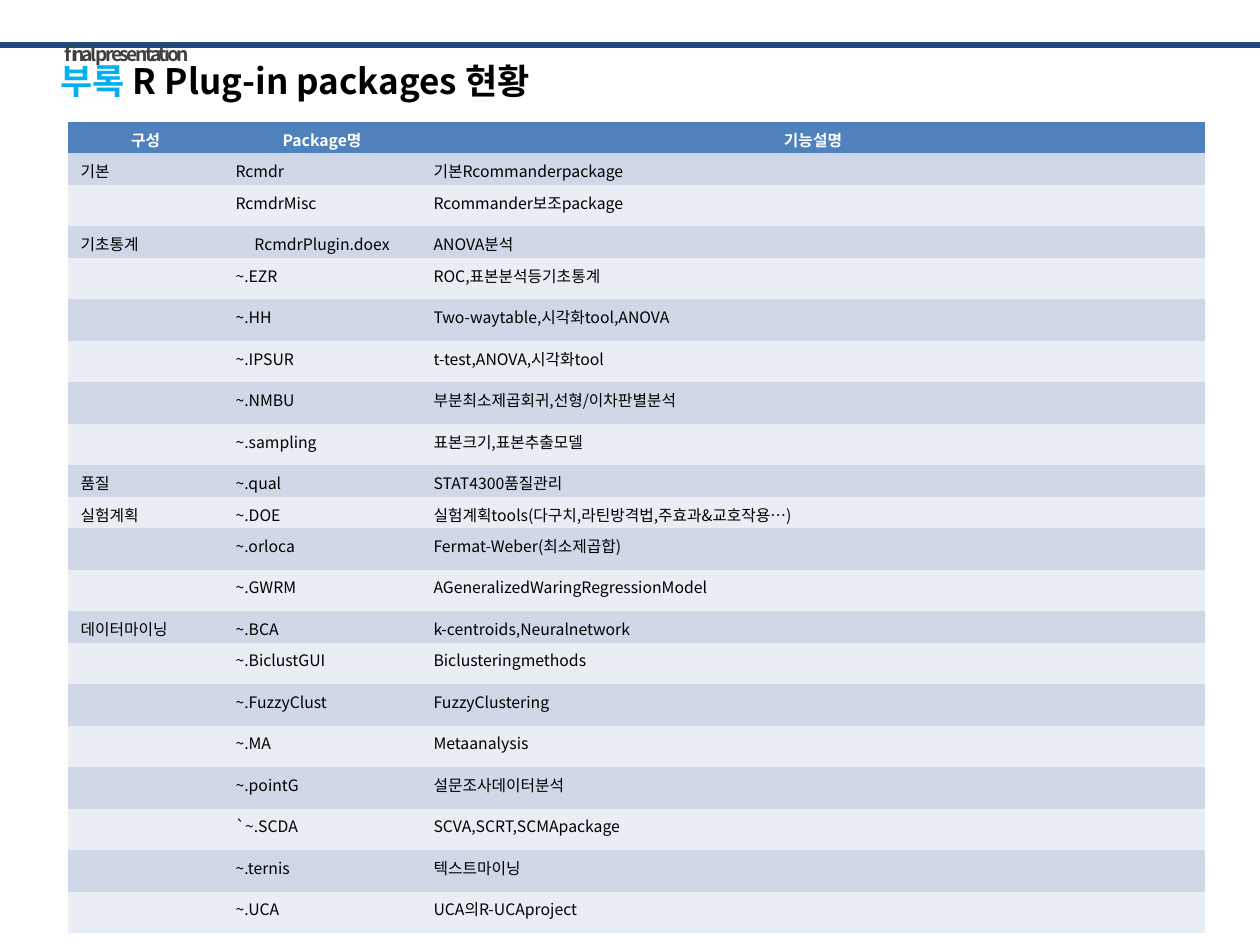
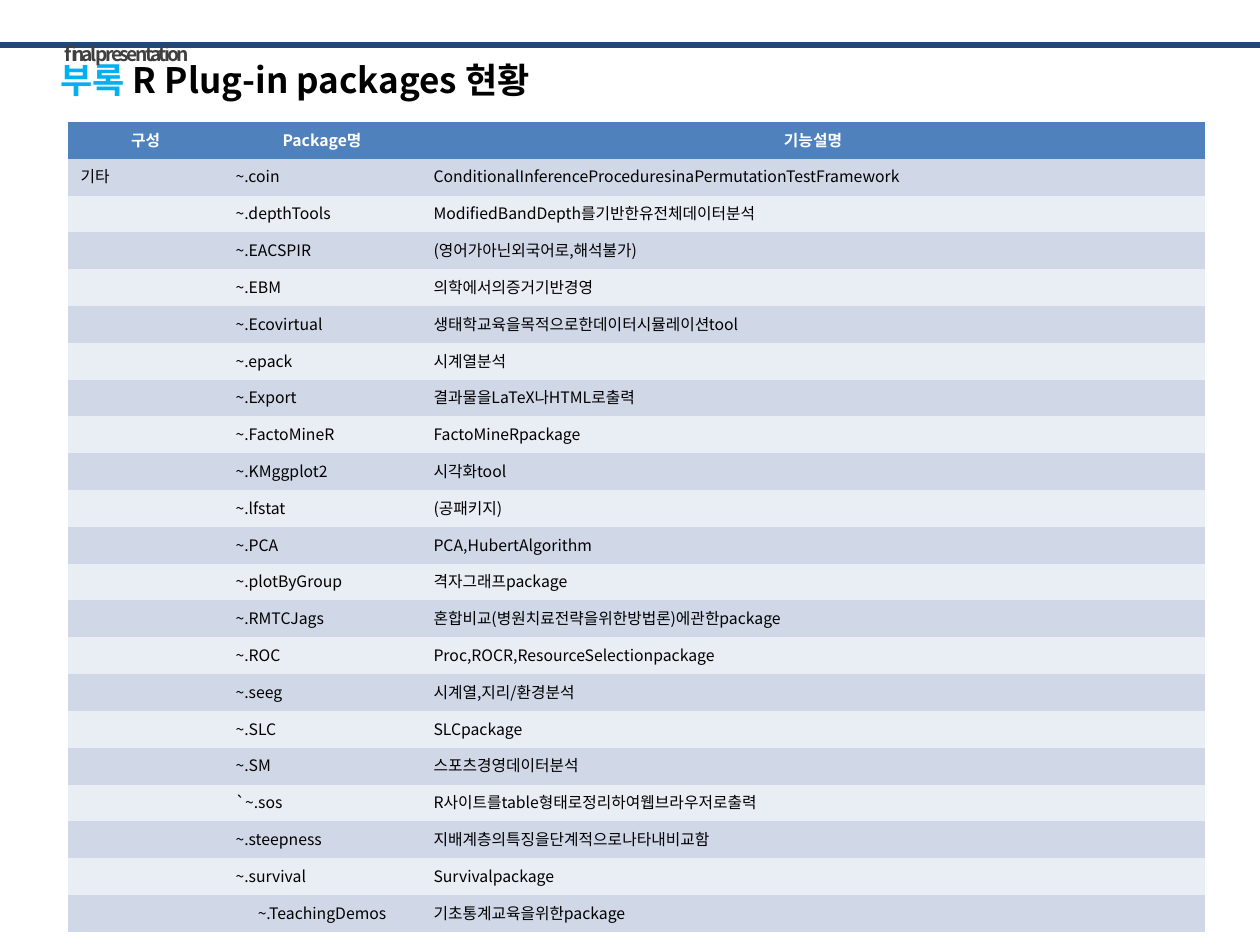
from lxml.etree import SubElement
from pptx import Presentation
from pptx.dml.color import RGBColor
from pptx.enum.shapes import MSO_CONNECTOR
from pptx.enum.text import MSO_AUTO_SIZE, PP_ALIGN
from pptx.oxml.ns import qn
from pptx.util import Emu, Pt

NAVY = RGBColor(0x1F, 0x49, 0x7D)
CYAN = RGBColor(0x00, 0xB0, 0xF0)
GREY = RGBColor(0x40, 0x40, 0x40)
BLACK = RGBColor(0x00, 0x00, 0x00)
WHITE = RGBColor(0xFF, 0xFF, 0xFF)
HEAD_FILL = RGBColor(0x4F, 0x81, 0xBD)
BAND_FILLS = [RGBColor(0xE9, 0xED, 0xF4), RGBColor(0xD0, 0xD8, 0xE8)]

FONT = "Noto Sans CJK KR"
NO_GRID_STYLE = "{2D5ABB26-0587-4C30-8999-92F81FD0307C}"
HEADER = ("구성", "Package명", "기능설명")
COL_WIDTHS = (155, 198, 784)
CENTRED = ("RcmdrPlugin.doex", "~.TeachingDemos")

MAIN_PACKAGES = [
    ("기본", "Rcmdr", "기본Rcommanderpackage"),
    ("", "RcmdrMisc", "Rcommander보조package"),
    ("기초통계", "RcmdrPlugin.doex", "ANOVA분석"),
    ("", "~.EZR", "ROC,표본분석등기초통계"),
    ("", "~.HH", "Two-waytable,시각화tool,ANOVA"),
    ("", "~.IPSUR", "t-test,ANOVA,시각화tool"),
    ("", "~.NMBU", "부분최소제곱회귀,선형/이차판별분석"),
    ("", "~.sampling", "표본크기,표본추출모델"),
    ("품질", "~.qual", "STAT4300품질관리"),
    ("실험계획", "~.DOE", "실험계획tools(다구치,라틴방격법,주효과&교호작용…)"),
    ("", "~.orloca", "Fermat-Weber(최소제곱합)"),
    ("", "~.GWRM", "AGeneralizedWaringRegressionModel"),
    ("데이터마이닝", "~.BCA", "k-centroids,Neuralnetwork"),
    ("", "~.BiclustGUI", "Biclusteringmethods"),
    ("", "~.FuzzyClust", "FuzzyClustering"),
    ("", "~.MA", "Metaanalysis"),
    ("", "~.pointG", "설문조사데이터분석"),
    ("", "`~.SCDA", "SCVA,SCRT,SCMApackage"),
    ("", "~.ternis", "텍스트마이닝"),
    ("", "~.UCA", "UCA의R-UCAproject"),
]
OTHER_PACKAGES = [
    ("기타", "~.coin", "ConditionalInferenceProceduresinaPermutationTestFramework"),
    ("", "~.depthTools", "ModifiedBandDepth를기반한유전체데이터분석"),
    ("", "~.EACSPIR", "(영어가아닌외국어로,해석불가)"),
    ("", "~.EBM", "의학에서의증거기반경영"),
    ("", "~.Ecovirtual", "생태학교육을목적으로한데이터시뮬레이션tool"),
    ("", "~.epack", "시계열분석"),
    ("", "~.Export", "결과물을LaTeX나HTML로출력"),
    ("", "~.FactoMineR", "FactoMineRpackage"),
    ("", "~.KMggplot2", "시각화tool"),
    ("", "~.lfstat", "(공패키지)"),
    ("", "~.PCA", "PCA,HubertAlgorithm"),
    ("", "~.plotByGroup", "격자그래프package"),
    ("", "~.RMTCJags", "혼합비교(병원치료전략을위한방법론)에관한package"),
    ("", "~.ROC", "Proc,ROCR,ResourceSelectionpackage"),
    ("", "~.seeg", "시계열,지리/환경분석"),
    ("", "~.SLC", "SLCpackage"),
    ("", "~.SM", "스포츠경영데이터분석"),
    ("", "`~.sos", "R사이트를table형태로정리하여웹브라우저로출력"),
    ("", "~.steepness", "지배계층의특징을단계적으로나타내비교함"),
    ("", "~.survival", "Survivalpackage"),
    ("", "~.TeachingDemos", "기초통계교육을위한package"),
]


def px(n):
    """Turn pixels, 126 to the inch, into EMU."""
    return Emu(round(n * 914400 / 126))


def add_run(p, text, color, **font):
    """Add a run whose Korean letters always use FONT."""
    r = p.add_run()
    r.text = text
    r.font.color.rgb = color
    for name, value in {"name": FONT, **font}.items():
        setattr(r.font, name, value)
    SubElement(r.font._element, qn("a:ea"), typeface=FONT)
    return r


prs = Presentation()
prs.slide_width, prs.slide_height = px(1260), px(945)

# Row heights: with group name, without group name; then the title box size
pages = [
    (MAIN_PACKAGES, px(63) // 2, px(83) // 2, 523, 97),
    (OTHER_PACKAGES, px(810) // 22, px(810) // 22, 549, 100),
]

for packages, group_height, plain_height, title_width, title_height in pages:
    s = prs.slides.add_slide(prs.slide_layouts[6])

    rule = s.shapes.add_connector(MSO_CONNECTOR.STRAIGHT, px(-2), px(45), px(1262), px(45))
    rule.line.color.rgb = NAVY
    rule.line.width = Pt(3)
    SubElement(rule._element.spPr, qn("a:effectLst"))

    title = s.shapes.add_textbox(px(48), px(59), px(title_width), px(title_height))
    label = s.shapes.add_textbox(px(52), px(39), px(220), px(37))
    for box, top_margin in ((title, 0), (label, 3)):
        tf = box.text_frame
        tf.word_wrap = True
        tf.auto_size = MSO_AUTO_SIZE.SHAPE_TO_FIT_TEXT
        tf.margin_top = px(top_margin)

    p = title.text_frame.paragraphs[0]
    add_run(p, "부록 ", CYAN, name="Arial", size=Pt(20), bold=True)
    add_run(p, "R Plug-in packages 현황", BLACK, size=Pt(20), bold=True)

    p = label.text_frame.paragraphs[0]
    p.alignment = PP_ALIGN.JUSTIFY
    r = add_run(p, "final presentation", GREY, size=Pt(11), bold=True)
    r.font._element.set("spc", "-150")

    rows = [HEADER, *packages]
    heights = [group_height if row[0] else plain_height for row in rows]
    frame = s.shapes.add_table(len(rows), len(HEADER), px(68), px(122),
                               px(sum(COL_WIDTHS)), Emu(sum(heights)))
    table = frame.table
    table.first_row = table.horz_banding = False
    table._tbl.tblPr.find(qn("a:tableStyleId")).text = NO_GRID_STYLE
    for column, width in zip(table.columns, COL_WIDTHS):
        column.width = px(width)

    for i, (row, height) in enumerate(zip(rows, heights)):
        table.rows[i].height = Emu(height)
        is_head = i == 0
        for j, text in enumerate(row):
            cell = table.cell(i, j)
            cell.margin_top, cell.margin_bottom = px(6), 0
            cell.fill.solid()
            cell.fill.fore_color.rgb = HEAD_FILL if is_head else BAND_FILLS[i % 2]
            p = cell.text_frame.paragraphs[0]
            if is_head or text in CENTRED:
                p.alignment = PP_ALIGN.CENTER
            if text:
                add_run(p, text, WHITE if is_head else BLACK, size=Pt(9), bold=is_head)
            else:
                SubElement(p._p, qn("a:endParaRPr"), sz="900")

prs.save("out.pptx")
